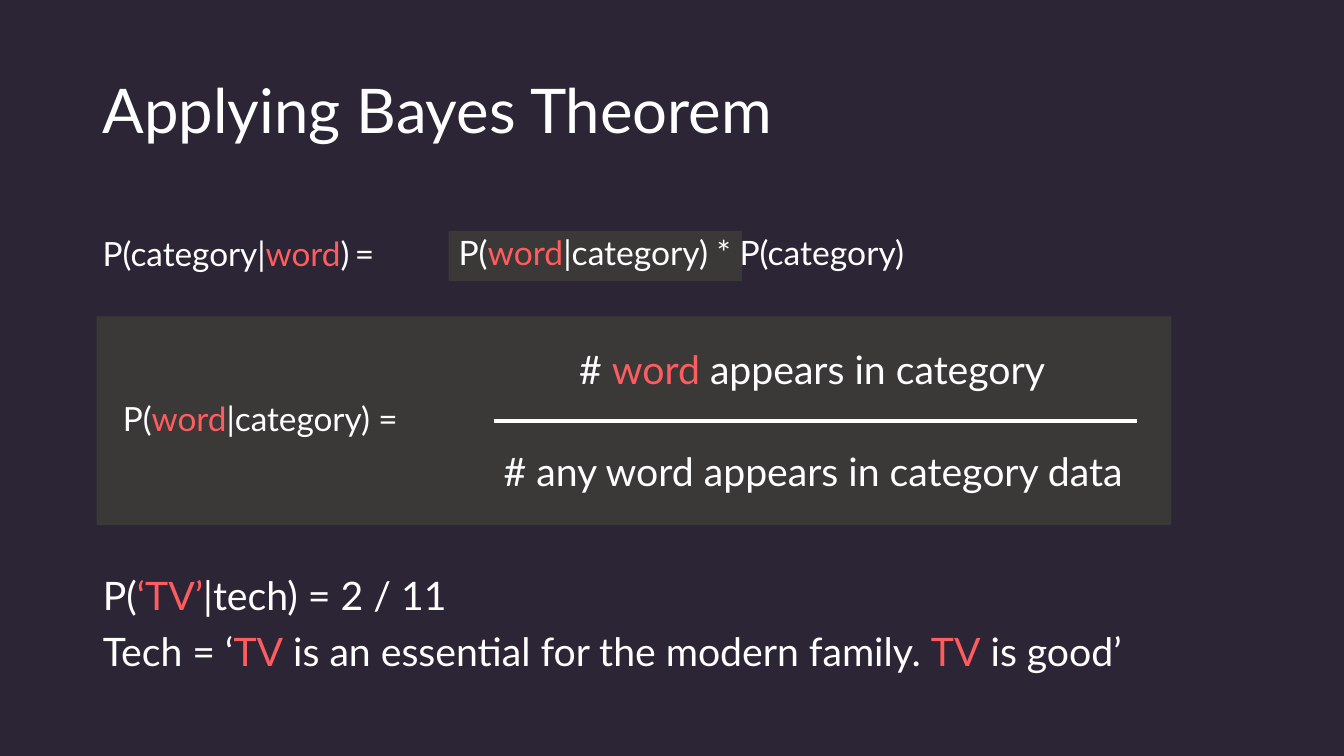
from lxml import etree
from pptx import Presentation
from pptx.dml.color import RGBColor
from pptx.enum.shapes import MSO_CONNECTOR, MSO_SHAPE
from pptx.enum.text import MSO_ANCHOR, MSO_AUTO_SIZE, PP_ALIGN
from pptx.oxml.ns import qn
from pptx.util import Inches, Pt

LEFT, CENTER = PP_ALIGN.LEFT, PP_ALIGN.CENTER
TOP, MIDDLE = MSO_ANCHOR.TOP, MSO_ANCHOR.MIDDLE
NO_AUTOFIT = MSO_AUTO_SIZE.NONE
RECTANGLE = MSO_SHAPE.RECTANGLE
STRAIGHT = MSO_CONNECTOR.STRAIGHT

BACKGROUND = RGBColor(0x2C, 0x25, 0x36)
PANEL = RGBColor(0x3B, 0x38, 0x38)
WHITE = RGBColor(0xFF, 0xFF, 0xFF)
ACCENT = RGBColor(0xFE, 0x5C, 0x5E)
FONT = "Lato"


def add_panel(slide, left, top, width, height):
    panel = slide.shapes.add_shape(
        RECTANGLE, Inches(left), Inches(top), Inches(width), Inches(height))
    panel.shadow.inherit = False
    panel.fill.solid()
    panel.fill.fore_color.rgb = PANEL
    panel.line.fill.background()


def place(shape, left, top, width, height):
    shape.left, shape.top = Inches(left), Inches(top)
    shape.width, shape.height = Inches(width), Inches(height)


def write(shape, lines, size, align=LEFT, spacing=0.9, anchor=TOP, tab=None):
    """Fill a shape with lines in which text between ~ marks is accented."""
    frame = shape.text_frame
    frame.word_wrap = True
    frame.auto_size = NO_AUTOFIT
    frame.vertical_anchor = anchor
    for number, line in enumerate(lines):
        paragraph = frame.add_paragraph() if number else frame.paragraphs[0]
        properties = paragraph._p.get_or_add_pPr()
        properties.set("marL", "0")
        properties.set("indent", "0")
        etree.SubElement(properties, qn("a:buNone"))
        if tab:
            tabs = etree.SubElement(properties, qn("a:tabLst"))
            etree.SubElement(tabs, qn("a:tab"), pos=str(Inches(tab)), algn="l")
        paragraph.alignment = align
        paragraph.line_spacing = spacing
        paragraph.space_before = Pt(10 if number else 0)
        paragraph.font.name = FONT
        paragraph.font.size = Pt(size)
        paragraph.font.color.rgb = WHITE
        for part, text in enumerate(line.split("~")):
            run = paragraph.add_run()
            run.text = text
            if part % 2:
                run.font.color.rgb = ACCENT


def add_formula(slide, box, text, size, **layout):
    formula = slide.shapes.add_textbox(*(Inches(length) for length in box))
    write(formula, [text], size, **layout)


def add_fraction_bar(slide, left, right, y):
    bar = slide.shapes.add_connector(
        STRAIGHT, Inches(left), Inches(y), Inches(right), Inches(y))
    bar.line.color.rgb = WHITE
    bar.line.width = Pt(3)
    etree.SubElement(bar._element.spPr, qn("a:effectLst"))


def main():
    deck = Presentation()
    deck.slide_width, deck.slide_height = Inches(13.33), Inches(7.5)
    slide = deck.slides.add_slide(deck.slide_layouts[1])
    slide.background.fill.solid()
    slide.background.fill.fore_color.rgb = BACKGROUND

    title, example = slide.placeholders
    place(title, 0.92, 0.4, 11.5, 1.45)
    write(title, ["Applying Bayes Theorem"], 44, anchor=MIDDLE)
    place(example, 0.92, 5.67, 11.61, 1.23)
    write(example, [
        "P(~‘TV’~|tech) = 2 / 11",
        "Tech = ‘~TV~ is an essential for the modern family. ~TV~ is good’",
    ], 28)

    add_panel(slide, 4.45, 2.29, 2.91, 0.5)
    add_formula(slide, (0.92, 2.34, 3.69, 0.62), "P(category|~word~)\t=", 23.8,
                spacing=0.8, tab=2.79)
    add_formula(slide, (4.45, 2.3, 5.23, 0.5),
                "P(~word~|category) * P(category)", 24)

    add_panel(slide, 0.96, 3.14, 10.66, 2.07)
    add_formula(slide, (1.12, 3.98, 3.49, 0.58), "P(~word~|category) =", 23.8,
                spacing=0.8)
    add_formula(slide, (4.77, 3.43, 6.57, 0.58),
                "# ~word ~appears in category", 28, align=CENTER)
    add_fraction_bar(slide, 4.9, 11.28, 4.18)
    add_formula(slide, (4.45, 4.44, 7.23, 0.58),
                "# any word appears in category data", 28, align=CENTER)

    deck.save("out.pptx")


if __name__ == "__main__":
    main()
